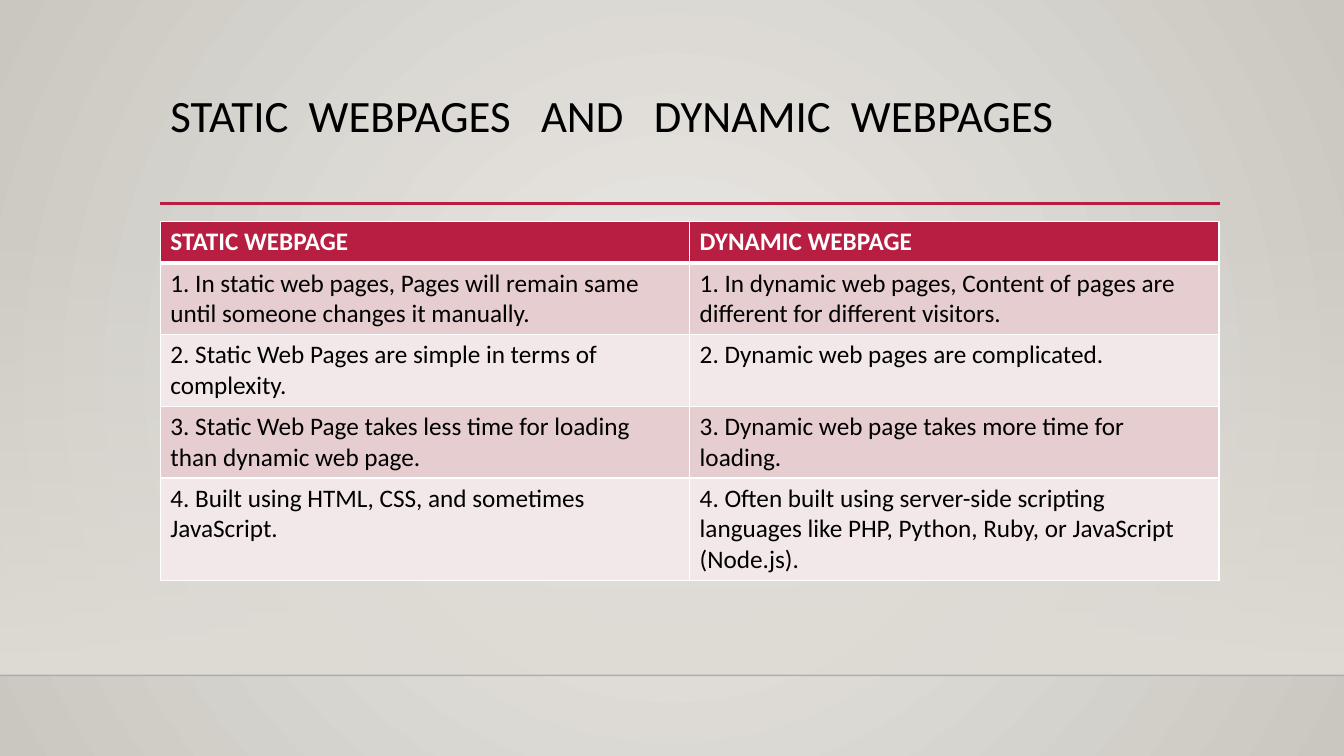
from lxml import etree
from pptx import Presentation
from pptx import util as u
from pptx.dml.color import RGBColor
from pptx.enum import shapes, text
from pptx.oxml import ns

CRIMSON = RGBColor(0xB7, 0x1E, 0x42)
ROSE = RGBColor(0xE6, 0xCD, 0xCF)
BLUSH = RGBColor(0xF3, 0xE8, 0xE9)
WHITE = RGBColor(0xFF, 0xFF, 0xFF)
BLACK = RGBColor(0x00, 0x00, 0x00)
PALE = RGBColor(0xEC, 0xEA, 0xE7)
STONE = RGBColor(0xCA, 0xC7, 0xC1)
SAND = RGBColor(0xDF, 0xDB, 0xD5)

WIDTH, HEIGHT = u.Inches(13.33), u.Inches(7.5)
LEFT, CONTENT_WIDTH = u.Inches(1.59), u.Inches(10.5)
FLOOR = u.Inches(6.7)
ROW_HEIGHT = u.Inches(0.41)

COMPARISON = [
    ("STATIC WEBPAGE", "DYNAMIC WEBPAGE"),
    ("1. In static web pages, Pages will remain same until someone changes it manually.",
     "1. In dynamic web pages, Content of pages are different for different visitors."),
    ("2. Static Web Pages are simple in terms of complexity.",
     "2. Dynamic web pages are complicated."),
    ("3. Static Web Page takes less time for loading than dynamic web page.",
     "3. Dynamic web page takes more time for loading."),
    ("4. Built using HTML, CSS, and sometimes JavaScript.",
     "4. Often built using server-side scripting languages like PHP, Python, Ruby, "
     "or JavaScript (Node.js)."),
]


def add(parent, tag, **attributes):
    """Append a drawing element such as a:alpha and return it."""
    return etree.SubElement(parent, ns.qn(tag), attributes)


def add_rule(y, right, left, color, points):
    rule = slide.shapes.add_connector(shapes.MSO_CONNECTOR.STRAIGHT, left, y, right, y)
    rule.line.color.rgb = color
    rule.line.width = u.Pt(points)
    add(rule.element.spPr, "a:effectLst")
    return rule


deck = Presentation()
deck.slide_width, deck.slide_height = WIDTH, HEIGHT
slide = deck.slides.add_slide(deck.slide_layouts[5])

# Background glow, pale in the centre
backdrop = slide.background.fill
backdrop.gradient()
for stop, color in zip(backdrop.gradient_stops, (PALE, STONE)):
    stop.color.rgb = color
glow = slide.element.find(".//" + ns.qn("a:gradFill"))
glow.remove(glow.find(ns.qn("a:lin")))
circle = add(glow, "a:path", path="circle")
add(circle, "a:fillToRect", l="50000", t="50000", r="50000", b="50000")

# Wall that fades in down to the floor line
wall_top = u.Inches(2.21)
wall = slide.shapes.add_shape(
    shapes.MSO_SHAPE.RECTANGLE, 0, wall_top, WIDTH, FLOOR - wall_top)
wall.shadow.inherit = False
wall.line.fill.background()
wall.fill.gradient()
wall.fill.gradient_angle = 270
for stop in wall.fill.gradient_stops:
    stop.color.rgb = SAND
add(wall.element.find(".//" + ns.qn("a:srgbClr")), "a:alpha", val="0")

floor_line = add_rule(FLOOR, WIDTH, 0, BLACK, 1)
add(floor_line.element.find(".//" + ns.qn("a:srgbClr")), "a:alpha", val="20000")
add_rule(u.Inches(2.02), u.Inches(12.1), LEFT, CRIMSON, 2.5)

title = slide.shapes.title
title.left, title.top = LEFT, u.Inches(0.88)
title.width, title.height = CONTENT_WIDTH, u.Inches(1.15)
title.text_frame.text = "STATIC  WEBPAGES   AND   DYNAMIC  WEBPAGES"
title.text_frame.vertical_anchor = text.MSO_ANCHOR.TOP
heading = title.text_frame.paragraphs[0]
heading.alignment = text.PP_ALIGN.LEFT
heading.line_spacing = 0.9
heading.runs[0].font.name = "Calibri"
heading.runs[0].font.size = u.Pt(32)
heading.runs[0].font.color.rgb = BLACK

table_frame = slide.shapes.add_table(
    len(COMPARISON), 2, LEFT, u.Inches(2.2), CONTENT_WIDTH, ROW_HEIGHT * len(COMPARISON))
table = table_frame.table
for row, entries in enumerate(COMPARISON):
    is_header = row == 0
    for column, entry in enumerate(entries):
        cell = table.cell(row, column)
        cell.text_frame.text = entry
        font = cell.text_frame.paragraphs[0].runs[0].font
        font.name, font.size, font.bold = "Calibri", u.Pt(18), is_header
        font.color.rgb = WHITE if is_header else BLACK

        properties = cell._tc.get_or_add_tcPr()
        for side in "LRTB":
            heavy = (is_header and side == "B") or (row == 1 and side == "T")
            border = add(properties, f"a:ln{side}", w=str(u.Pt(3 if heavy else 1)))
            add(add(border, "a:solidFill"), "a:srgbClr", val=str(WHITE))
        cell.fill.solid()
        cell.fill.fore_color.rgb = CRIMSON if is_header else (BLUSH, ROSE)[row % 2]

deck.save("out.pptx")
